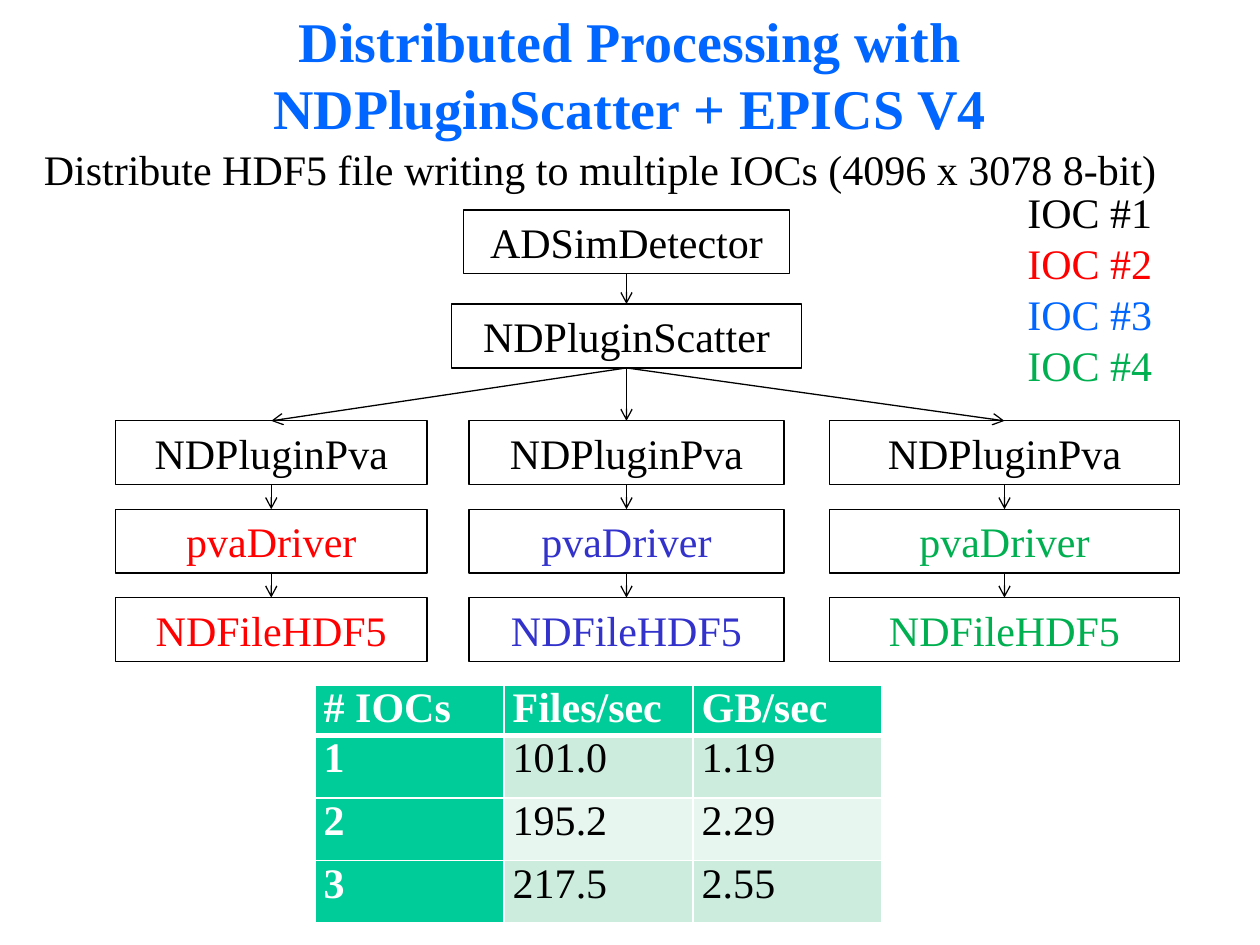
from dataclasses import dataclass

from lxml import etree
from pptx import Presentation
from pptx import util as u
from pptx.dml import color
from pptx.enum import shapes, text
from pptx.oxml import ns

FONT = "Times New Roman"
BLACK, WHITE, RED, BLUE, INDIGO, GREEN, TEAL = (
    "000000", "FFFFFF", "FF0000", "0066FF", "3333CC", "00B050", "00CC99")
BOX_H = 36.5
TOP, BOTTOM = 0, 2


@dataclass
class Box:
    label: str
    center: float
    top: float
    width: float
    color: str = BLACK


@dataclass
class Column:
    center: float
    width: float
    color: str


def rgb(value: str) -> color.RGBColor:
    return color.RGBColor.from_string(value)


def format_paragraph(p, hue: str, size: float = 24, bold: bool = False,
                     align=text.PP_ALIGN.LEFT, spacing=None) -> None:
    p.alignment = align
    if spacing is not None:
        p.line_spacing = spacing
    for r in p.runs:
        r.font.name, r.font.size, r.font.bold = FONT, u.Pt(size), bold
        r.font.color.rgb = rgb(hue)


def add_text(slide, left: float, top: float, width: float, height: float,
             lines: list[tuple[str, str]], **style):
    sp = slide.shapes.add_textbox(*map(u.Pt, (left, top, width, height)))
    tf = sp.text_frame
    tf.word_wrap = True
    tf.text = "\n".join(line for line, _ in lines)
    for p, (_, hue) in zip(tf.paragraphs, lines):
        format_paragraph(p, hue, **style)
    return sp


def add_box(slide, box: Box):
    sp = slide.shapes.add_shape(
        shapes.MSO_SHAPE.RECTANGLE, u.Pt(box.center - box.width / 2),
        u.Pt(box.top), u.Pt(box.width), u.Pt(BOX_H))
    sp.shadow.inherit = False
    sp.fill.background()
    sp.line.color.rgb = rgb(BLACK)
    sp.line.width = u.Pt(0.75)
    tf = sp.text_frame
    tf.word_wrap = True
    tf.vertical_anchor = text.MSO_ANCHOR.TOP
    tf.text = box.label
    format_paragraph(tf.paragraphs[0], box.color,
                     align=text.PP_ALIGN.CENTER, spacing=u.Pt(29))
    return sp


def add_arrow(slide, upper, lower) -> None:
    cxn = slide.shapes.add_connector(shapes.MSO_CONNECTOR.STRAIGHT, 0, 0, 0, 0)
    cxn.begin_connect(upper, BOTTOM)
    cxn.end_connect(lower, TOP)
    cxn.line.color.rgb = rgb(BLACK)
    cxn.line.width = u.Pt(0.75)
    ln = cxn.line._get_or_add_ln()
    etree.SubElement(ln, ns.qn("a:tailEnd"), type="arrow")
    etree.SubElement(cxn._element.spPr, ns.qn("a:effectLst"))


def set_borders(cell, widths: dict[str, float]) -> None:
    tcPr = cell._tc.get_or_add_tcPr()
    for i, (side, width) in enumerate(widths.items()):
        ln = etree.Element(ns.qn(f"a:ln{side}"), w=str(u.Pt(width)))
        fill = etree.SubElement(ln, ns.qn("a:solidFill"))
        etree.SubElement(fill, ns.qn("a:srgbClr"), val=WHITE)
        tcPr.insert(i, ln)


def add_rates(slide, rows: list[tuple[str, ...]]) -> None:
    table = slide.shapes.add_table(
        len(rows), len(rows[0]), u.Pt(180), u.Pt(391.5),
        u.Pt(324), u.Pt(136)).table
    table.first_col = True
    for i, row in enumerate(rows):
        table.rows[i].height = u.Pt(35.75 if i else 28.75)
        for j, value in enumerate(row):
            cell = table.cell(i, j)
            head = i == 0 or j == 0
            cell.margin_left = cell.margin_right = u.Pt(5)
            cell.margin_top = cell.margin_bottom = 0
            cell.fill.solid()
            band = "CCECDE" if i % 2 else "E7F6EF"
            cell.fill.fore_color.rgb = rgb(TEAL if head else band)
            set_borders(cell, {"L": 1, "R": 1, "T": 3 if i == 1 else 1,
                               "B": 1 if i else 3})
            cell.text_frame.text = value
            format_paragraph(cell.text_frame.paragraphs[0],
                             WHITE if head else BLACK, bold=head,
                             align=text.PP_ALIGN.JUSTIFY)


def main() -> None:
    prs = Presentation()
    prs.slide_width, prs.slide_height = u.Pt(720), u.Pt(540)
    slide = prs.slides.add_slide(prs.slide_layouts[6])

    title = add_text(
        slide, 66, 12, 588, 60,
        [("Distributed Processing with NDPluginScatter + EPICS V4", BLUE)],
        size=32, bold=True, align=text.PP_ALIGN.CENTER, spacing=u.Pt(38.4))
    title.text_frame.vertical_anchor = text.MSO_ANCHOR.MIDDLE
    add_text(
        slide, 18, 84, 678, 36,
        [("Distribute HDF5 file writing to multiple IOCs (4096 x 3078 8-bit)",
          BLACK)], spacing=0.8)

    add_rates(slide, [("# IOCs", "Files/sec", "GB/sec"),
                      ("1", "101.0", "1.19"),
                      ("2", "195.2", "2.29"),
                      ("3", "217.5", "2.55")])

    columns = [Column(155, 178, RED), Column(358, 180, INDIGO),
               Column(574, 200, GREEN)]
    middle = columns[1].center
    detector = add_box(slide, Box("ADSimDetector", middle, 120, 186))
    scatter = add_box(slide, Box("NDPluginScatter", middle, 173.75, 200))
    add_arrow(slide, detector, scatter)

    for col in columns:
        upper = scatter
        stages = [("NDPluginPva", BLACK), ("pvaDriver", col.color),
                  ("NDFileHDF5", col.color)]
        for i, (label, hue) in enumerate(stages):
            lower = add_box(slide, Box(label, col.center, 240.5 + i * 50.5,
                                       col.width, hue))
            add_arrow(slide, upper, lower)
            upper = lower

    add_text(slide, 580, 103, 96, 124,
             [(f"IOC #{i}", hue)
              for i, hue in enumerate((BLACK, RED, BLUE, GREEN), 1)],
             spacing=u.Pt(29))
    prs.save("out.pptx")


if __name__ == "__main__":
    main()
